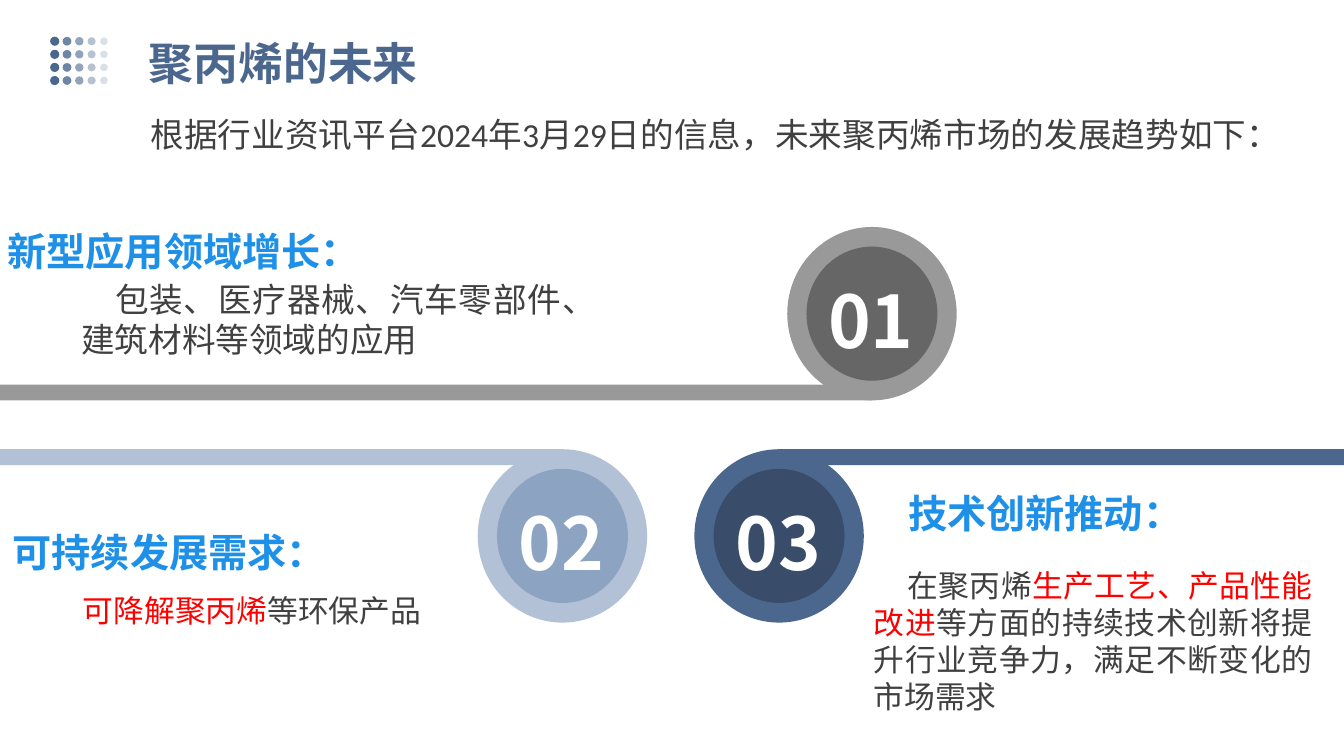
from dataclasses import dataclass

from lxml import etree
from pptx import Presentation
from pptx.dml.color import RGBColor
from pptx.enum.shapes import MSO_SHAPE
from pptx.enum.text import MSO_ANCHOR, MSO_AUTO_SIZE, PP_ALIGN
from pptx.oxml.ns import qn
from pptx.util import Cm, Pt

OVAL, RECTANGLE = MSO_SHAPE.OVAL, MSO_SHAPE.RECTANGLE
TOP = MSO_ANCHOR.TOP
FIXED_SIZE = MSO_AUTO_SIZE.NONE
LEFT, JUSTIFY = PP_ALIGN.LEFT, PP_ALIGN.JUSTIFY
SLIDE_WIDTH, SLIDE_HEIGHT = 33.87, 19.05
TITLE_ONLY = 5


@dataclass(frozen=True)
class Theme:
    navy: str = "4C678E"
    dark_navy: str = "394D6A"
    pale_blue: str = "B3C1D6"
    mid_blue: str = "8DA3C2"
    gray: str = "999999"
    dark_gray: str = "666666"
    body: str = "404040"
    heading: str = "1F90E8"
    accent: str = "FF0000"
    white: str = "FFFFFF"
    latin_font: str = "Calibri"
    chinese_font: str = "Noto Sans CJK SC"
    title_size: float = 32
    heading_size: float = 28
    body_size: float = 24
    detail_size: float = 22
    number_size: float = 51.8


THEME = Theme()


@dataclass(frozen=True)
class Span:
    text: str
    color: str = THEME.body


@dataclass(frozen=True)
class TextStyle:
    size: float
    font: str = THEME.latin_font
    bold: bool = False
    align: PP_ALIGN = LEFT
    indent: float = 0
    line_spacing: float = 1.0
    margins: tuple[float, float, float, float] = (0.25, 0.13, 0.25, 0.13)


@dataclass(frozen=True)
class TextBlock:
    left: float
    top: float
    width: float
    height: float
    style: TextStyle
    spans: tuple[Span, ...]


@dataclass(frozen=True)
class Badge:
    number: str
    left: float
    top: float
    ring_color: str
    disc_color: str
    bar_at_bottom: bool = False
    bar_to_right: bool = False


TITLE = TextStyle(THEME.title_size, THEME.chinese_font, True, JUSTIFY, 0.85,
                  margins=(0.36, 0.36, 0.15, 0.36))
HEADING = TextStyle(THEME.heading_size, bold=True)
BODY = TextStyle(THEME.body_size, align=JUSTIFY, indent=0.85)
DETAIL = TextStyle(THEME.detail_size, align=JUSTIFY, indent=0.85)
NUMBER = TextStyle(THEME.number_size, THEME.chinese_font, True, line_spacing=1.2,
                   margins=(0.3, 0.15, 0.3, 0.15))

TITLE_BLOCK = TextBlock(2.54, 0.54, 27.79, 2.06, TITLE, (Span("聚丙烯的未来", THEME.navy),))
TEXT_BLOCKS = (
    TextBlock(2.69, 2.74, 28.98, 2.3, BODY,
              (Span("根据行业资讯平台2024年3月29日的信息，未来聚丙烯市场的发展趋势如下："),)),
    TextBlock(-0.06, 5.61, 16.9, 1.45, HEADING, (Span("新型应用领域增长：", THEME.heading),)),
    TextBlock(0.07, 13.18, 11.5, 1.45, HEADING, (Span("可持续发展需求：", THEME.heading),)),
    TextBlock(22.64, 12.2, 11, 1.45, HEADING, (Span("技术创新推动：", THEME.heading),)),
    TextBlock(21.77, 14.16, 11.56, 4.2, DETAIL,
              (Span("在聚丙烯"), Span("生产工艺、产品性能改进", THEME.accent),
               Span("等方面的持续技术创新将提升行业竞争力，满足不断变化的市场需求"))),
    TextBlock(0.99, 14.77, 10.41, 1.19, DETAIL,
              (Span("可降解聚丙烯", THEME.accent), Span("等环保产品"))),
    TextBlock(1.8, 6.89, 12.62, 2.31, BODY,
              (Span("包装、医疗器械、汽车零部件、建筑材料等领域的应用"),)),
)
BADGES = (
    Badge("01", 19.84, 5.72, THEME.gray, THEME.dark_gray, bar_at_bottom=True),
    Badge("02", 12.04, 11.32, THEME.pale_blue, THEME.mid_blue),
    Badge("03", 17.5, 11.32, THEME.navy, THEME.dark_navy, bar_to_right=True),
)


def add_filled(shapes, kind: MSO_SHAPE, left: float, top: float, width: float,
               height: float, color: str, opacity: int = 100) -> None:
    shape = shapes.add_shape(kind, Cm(left), Cm(top), Cm(width), Cm(height))
    shape.shadow.inherit = False
    shape.fill.solid()
    shape.fill.fore_color.rgb = RGBColor.from_string(color)
    shape.line.fill.background()
    if opacity < 100:
        color_element = next(shape.element.spPr.iter(qn("a:srgbClr")))
        etree.SubElement(color_element, qn("a:alpha")).set("val", str(opacity * 1000))


def fill_text(box, block: TextBlock) -> None:
    """Place a text box or placeholder and write the block's single paragraph."""
    box.left, box.top = Cm(block.left), Cm(block.top)
    box.width, box.height = Cm(block.width), Cm(block.height)
    style, frame = block.style, box.text_frame
    frame.word_wrap = True
    frame.auto_size = FIXED_SIZE
    frame.vertical_anchor = TOP
    (frame.margin_left, frame.margin_top,
     frame.margin_right, frame.margin_bottom) = map(Cm, style.margins)
    para = frame.paragraphs[0]
    para.alignment = style.align
    para.line_spacing = style.line_spacing
    properties = para._p.get_or_add_pPr()
    properties.set("marL", "0")
    properties.set("indent", str(Cm(style.indent)))
    para.font.size = Pt(style.size)
    para.font.bold = style.bold
    para.font.name = style.font
    latin = next(properties.iter(qn("a:latin")))
    east_asian = etree.Element(qn("a:ea"))
    east_asian.set("typeface", THEME.chinese_font)
    latin.addnext(east_asian)
    for span in block.spans:
        run = para.add_run()
        run.text = span.text
        run.font.color.rgb = RGBColor.from_string(span.color)


def add_text(shapes, block: TextBlock) -> None:
    fill_text(shapes.add_textbox(0, 0, 0, 0), block)


def add_dot_grid(shapes) -> None:
    """Draw four rows of dots that shrink and fade to the right."""
    dots = shapes.add_group_shape().shapes
    for row in range(4):
        for column in range(5):
            size = 0.23 - 0.01 * column
            left = 1.38 + 0.31 * column - size / 2
            top = 1.04 + 0.33 * row - size / 2
            add_filled(dots, OVAL, left, top, size, size, THEME.navy, 100 - 20 * column)


def add_badge(shapes, badge: Badge) -> None:
    """Draw a ring, its disc and the bar running to the slide edge."""
    ring_width, ring_height = 4.27, 4.37
    disc_width, disc_height = 3.3, 3.38
    bar_height = 0.4
    center = badge.left + ring_width / 2
    add_filled(shapes, OVAL, badge.left, badge.top, ring_width, ring_height, badge.ring_color)
    add_filled(shapes, OVAL, center - disc_width / 2,
               badge.top + (ring_height - disc_height) / 2,
               disc_width, disc_height, badge.disc_color)
    bar_left, bar_right = (center, SLIDE_WIDTH) if badge.bar_to_right else (0, center)
    bar_top = badge.top + (ring_height - bar_height if badge.bar_at_bottom else 0)
    add_filled(shapes, RECTANGLE, bar_left, bar_top, bar_right - bar_left, bar_height,
               badge.ring_color)
    add_text(shapes, TextBlock(badge.left + 0.73, badge.top + 0.65, 3.4, 3.07, NUMBER,
                               (Span(badge.number, THEME.white),)))


def main() -> None:
    deck = Presentation()
    deck.slide_width, deck.slide_height = Cm(SLIDE_WIDTH), Cm(SLIDE_HEIGHT)
    page = deck.slides.add_slide(deck.slide_layouts[TITLE_ONLY])
    fill_text(page.shapes.title, TITLE_BLOCK)
    add_dot_grid(page.shapes)
    for badge in BADGES:
        add_badge(page.shapes, badge)
    for block in TEXT_BLOCKS:
        add_text(page.shapes, block)
    deck.save("out.pptx")


if __name__ == "__main__":
    main()
